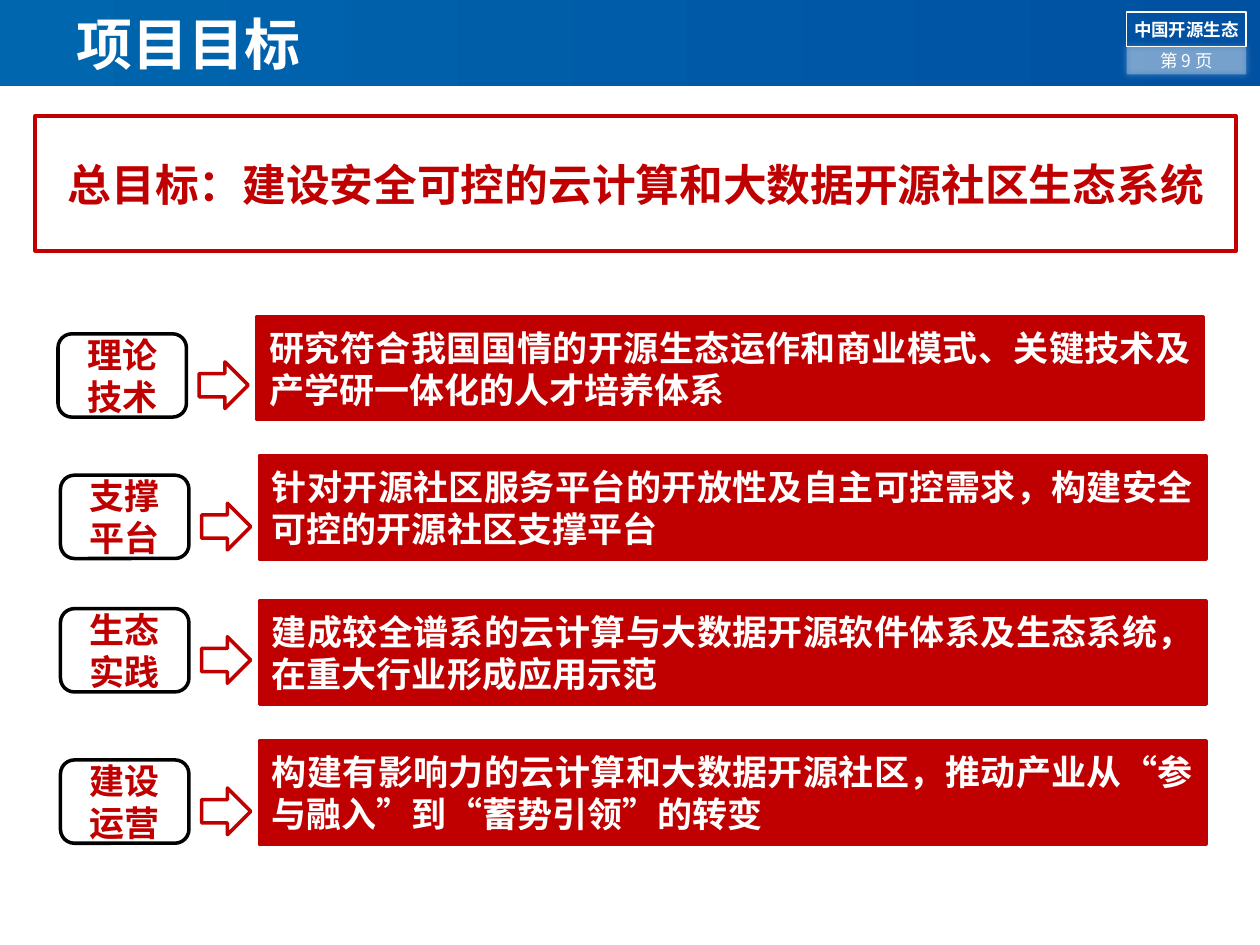
import pptx
import pptx.util
import pptx.oxml.ns
from lxml import etree
from pptx.dml.color import RGBColor
from pptx.enum.shapes import MSO_SHAPE
from pptx.enum.text import MSO_ANCHOR, PP_ALIGN
from pptx.util import Cm

FONT = "Noto Sans CJK SC"
WHITE = RGBColor(0xFF, 0xFF, 0xFF)
BLACK = RGBColor(0x00, 0x00, 0x00)
RED = RGBColor(0xC0, 0x00, 0x00)
BLUE_LEFT = RGBColor(0x00, 0x66, 0xAE)
BLUE_RIGHT = RGBColor(0x00, 0x51, 0xA2)
qn = pptx.oxml.ns.qn

deck = pptx.Presentation()
deck.slide_width, deck.slide_height = Cm(25.4), Cm(19.05)
slide = deck.slides.add_slide(deck.slide_layouts[6])


def add_box(kind, left, top, width, height, fill=None, line=None, weight=2):
    """Add a preset shape without shadow; lengths in centimetres."""
    box = slide.shapes.add_shape(kind, Cm(left), Cm(top), Cm(width), Cm(height))
    box.shadow.inherit = False
    if fill is None:
        box.fill.background()
    else:
        box.fill.solid()
        box.fill.fore_color.rgb = fill
    if line is None:
        box.line.fill.background()
    else:
        box.line.color.rgb = line
        box.line.width = pptx.util.Pt(weight)
    return box


def write(box, lines, size, color, align=PP_ALIGN.CENTER, bold=True,
          inset=(0.25, 0.13), wrap=True, spacing=None):
    """Fill a box with one paragraph per line, centred vertically."""
    frame = box.text_frame
    frame.word_wrap = wrap
    frame.vertical_anchor = MSO_ANCHOR.MIDDLE
    frame.margin_left = frame.margin_right = Cm(inset[0])
    frame.margin_top = frame.margin_bottom = Cm(inset[1])
    for index, line in enumerate(lines):
        paragraph = frame.add_paragraph() if index else frame.paragraphs[0]
        paragraph.alignment = align
        if spacing:
            paragraph.line_spacing = pptx.util.Pt(spacing)
        run = paragraph.add_run()
        run.text = line
        run.font.size = pptx.util.Pt(size)
        run.font.bold = bold
        run.font.color.rgb = color
        run.font.name = FONT
        etree.SubElement(run.font._element, qn("a:ea"), typeface=FONT)


# Header band
header = add_box(MSO_SHAPE.RECTANGLE, 0, 0, 25.4, 1.73)
header.fill.gradient()
header.fill.gradient_angle = 0
for stop, color in zip(header.fill.gradient_stops, (BLUE_LEFT, BLUE_RIGHT)):
    stop.color.rgb = color

# Page badge: translucent plate with a soft white glow
page_area = (22.71, 0.94, 2.41, 0.56)
plate = add_box(MSO_SHAPE.ROUNDED_RECTANGLE, *page_area, fill=WHITE)
plate.adjustments[0] = 0
plate_color = plate._element.spPr.find(qn("a:solidFill"))[0]
etree.SubElement(plate_color, qn("a:alpha"), val="30000")
effects = plate._element.spPr.find(qn("a:effectLst"))
glow = etree.SubElement(effects, qn("a:outerShdw"), blurRad="50800", dist="0",
                        dir="0", algn="ctr", rotWithShape="0")
glow_color = etree.SubElement(glow, qn("a:srgbClr"), val="FFFFFF")
etree.SubElement(glow_color, qn("a:alpha"), val="80000")

page_number = slide.shapes.add_textbox(*map(Cm, page_area))
write(page_number, ["第 9 页"], 10, WHITE, bold=False, inset=(0.25, 0))

topic = add_box(MSO_SHAPE.ROUNDED_RECTANGLE, 22.71, 0.25, 2.41, 0.69,
                line=WHITE, weight=1)
topic.adjustments[0] = 0
write(topic, ["中国开源生态"], 10, WHITE, wrap=False)

title = slide.shapes.add_textbox(Cm(1.3), Cm(0), Cm(21.41), Cm(1.73))
write(title, ["项目目标"], 32, WHITE, align=PP_ALIGN.LEFT, wrap=False)

# Overall goal
goal = add_box(MSO_SHAPE.ROUNDED_RECTANGLE, 0.71, 2.34, 24.21, 2.72, WHITE, RED)
goal.adjustments[0] = 0
write(goal, ["总目标：建设安全可控的云计算和大数据开源社区生态系统"], 25, RED)

# Sub-goals: left edge, top of label, top of statement, label, statement
sub_goals = [
    (1.17, 6.73, 6.38, ["理论", "技术"],
     "研究符合我国国情的开源生态运作和商业模式、关键技术及产学研一体化的人才培养体系"),
    (1.22, 9.58, 9.19, ["支撑", "平台"],
     "针对开源社区服务平台的开放性及自主可控需求，构建安全可控的开源社区支撑平台"),
    (1.22, 12.27, 12.12, ["生态", "实践"],
     "建成较全谱系的云计算与大数据开源软件体系及生态系统，在重大行业形成应用示范"),
    (1.22, 15.32, 14.94, ["建设", "运营"],
     "构建有影响力的云计算和大数据开源社区，推动产业从“参与融入”到“蓄势引领”的转变"),
]
for left, label_top, statement_top, label_lines, statement_text in sub_goals:
    label = add_box(MSO_SHAPE.ROUNDED_RECTANGLE, left, label_top, 2.59, 1.68,
                    WHITE, BLACK)
    write(label, label_lines, 20, RED, inset=(0, 0), spacing=24)
    arrow = add_box(MSO_SHAPE.DOWN_ARROW, left + 2.87, label_top + 0.54,
                    0.94, 0.99, WHITE, RED)
    arrow.rotation = 270
    statement = add_box(MSO_SHAPE.RECTANGLE, left + 4.01, statement_top,
                        19.08, 2.08, RED, RED)
    write(statement, [statement_text], 20, WHITE, align=PP_ALIGN.JUSTIFY,
          spacing=24)

deck.save("out.pptx")
